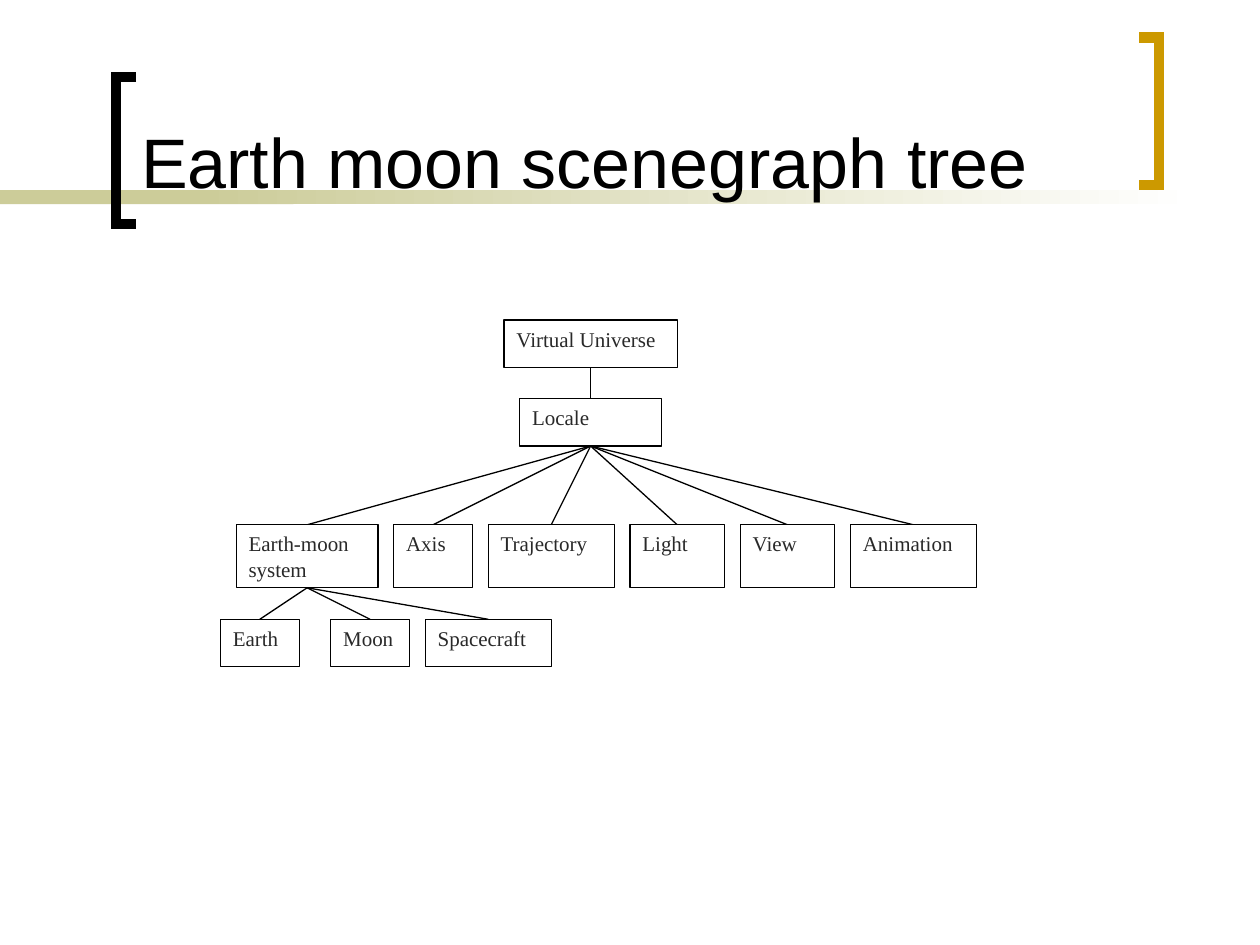
from dataclasses import dataclass

import pptx
import pptx.dml.color
import pptx.enum.shapes
import pptx.enum.text
import pptx.oxml
import pptx.oxml.ns
import pptx.util
from pptx.util import Inches

GRID = 1 / 8
TREE_TOP = 2.54
BLACK = "000000"
WHITE = "FFFFFF"
KHAKI = "CCCC99"
GOLD = "CC9900"
CHARCOAL = "292929"


@dataclass(frozen=True)
class Node:
    label: str
    column: int
    row: int
    columns: int
    rows: int = 3
    children: tuple["Node", ...] = ()

    @property
    def left(self) -> float:
        return self.column * GRID

    @property
    def top(self) -> float:
        return TREE_TOP + self.row * GRID

    @property
    def width(self) -> float:
        return self.columns * GRID

    @property
    def height(self) -> float:
        return self.rows * GRID

    @property
    def center(self) -> float:
        return self.left + self.width / 2


@dataclass(frozen=True)
class Bracket:
    tip: float
    spine: float
    top: float
    color: str
    height: float = 1.17


def node_row(row: int, rows: int, column: int, gap: int,
             entries: list[tuple[str, int, tuple[Node, ...]]]) -> tuple[Node, ...]:
    nodes = []
    for label, columns, children in entries:
        nodes.append(Node(label, column, row, columns, rows, children))
        column += columns + gap
    return tuple(nodes)


BODIES = (
    Node("Earth", 14, 19, 5),
    Node("Moon", 21, 19, 5),
    Node("Spacecraft", 27, 19, 8),
)
BRANCHES = node_row(13, 4, 15, 1, [
    ("Earth-moon system", 9, BODIES),
    ("Axis", 5, ()),
    ("Trajectory", 8, ()),
    ("Light", 6, ()),
    ("View", 6, ()),
    ("Animation", 8, ()),
])
LOCALE = Node("Locale", 33, 5, 9, children=BRANCHES)
UNIVERSE = Node("Virtual Universe", 32, 0, 11, children=(LOCALE,))

BRACKETS = (
    Bracket(tip=1.08, spine=0.92, top=0.61, color=BLACK),
    Bracket(tip=9.04, spine=9.2, top=0.3, color=GOLD),
)


def rgb(value: str) -> pptx.dml.color.RGBColor:
    return pptx.dml.color.RGBColor.from_string(value)


def add_band(slide, left: float, width: float, fades: bool = False) -> None:
    band = slide.shapes.add_shape(
        pptx.enum.shapes.MSO_SHAPE.RECTANGLE,
        Inches(left), Inches(1.51), Inches(width), Inches(0.11))
    band.shadow.inherit = False
    band.line.fill.background()
    if fades:
        band.fill.gradient()
        band.fill.gradient_angle = 0
        for stop, color, position in zip(band.fill.gradient_stops, (KHAKI, WHITE), (0, 1)):
            stop.color.rgb = rgb(color)
            stop.position = position
    else:
        band.fill.solid()
        band.fill.fore_color.rgb = rgb(KHAKI)


def add_bracket(slide, bracket: Bracket) -> None:
    bottom = bracket.top + bracket.height
    builder = slide.shapes.build_freeform(Inches(bracket.tip), Inches(bracket.top))
    builder.add_line_segments([
        (Inches(bracket.spine), Inches(bracket.top)),
        (Inches(bracket.spine), Inches(bottom)),
        (Inches(bracket.tip), Inches(bottom)),
    ], close=False)
    outline = builder.convert_to_shape()
    outline.shadow.inherit = False
    outline.fill.background()
    outline.line.color.rgb = rgb(bracket.color)
    outline.line.width = pptx.util.Pt(6)
    miter = pptx.oxml.parse_xml(f'<a:miter {pptx.oxml.ns.nsdecls("a")} lim="800000"/>')
    outline.line._get_or_add_ln().append(miter)


def add_title(slide, text: str) -> None:
    title = slide.shapes.title
    title.element.getparent().append(title.element)
    title.left, title.top = Inches(1.02), Inches(0.11)
    title.width, title.height = Inches(7.83), Inches(1.55)
    frame = title.text_frame
    frame.text = text
    frame.word_wrap = True
    frame.auto_size = pptx.enum.text.MSO_AUTO_SIZE.NONE
    frame.vertical_anchor = pptx.enum.text.MSO_ANCHOR.BOTTOM
    paragraph = frame.paragraphs[0]
    paragraph.alignment = pptx.enum.text.PP_ALIGN.LEFT
    paragraph.font.name = "Arial"
    paragraph.font.size = pptx.util.Pt(40)
    paragraph.font.color.rgb = rgb(BLACK)


def add_edge(slide, parent: Node, child: Node) -> None:
    edge = slide.shapes.add_connector(
        pptx.enum.shapes.MSO_CONNECTOR.STRAIGHT,
        Inches(parent.center), Inches(parent.top + parent.height),
        Inches(child.center), Inches(child.top))
    edge.line.color.rgb = rgb(BLACK)
    edge.line.width = pptx.util.Pt(0.75)
    effects = pptx.oxml.parse_xml(f'<a:effectLst {pptx.oxml.ns.nsdecls("a")}/>')
    edge.element.spPr.append(effects)


def add_tree(slide, node: Node) -> None:
    box = slide.shapes.add_shape(
        pptx.enum.shapes.MSO_SHAPE.FLOWCHART_PROCESS,
        Inches(node.left), Inches(node.top), Inches(node.width), Inches(node.height))
    box.shadow.inherit = False
    box.fill.solid()
    box.fill.fore_color.rgb = rgb(WHITE)
    box.line.color.rgb = rgb(BLACK)
    box.line.width = pptx.util.Pt(0.75)
    frame = box.text_frame
    frame.text = node.label
    frame.word_wrap = True
    frame.vertical_anchor = pptx.enum.text.MSO_ANCHOR.TOP
    paragraph = frame.paragraphs[0]
    paragraph.alignment = pptx.enum.text.PP_ALIGN.LEFT
    paragraph.font.name = "Times New Roman"
    paragraph.font.size = pptx.util.Pt(12)
    paragraph.font.color.rgb = rgb(CHARCOAL)
    for child in node.children:
        add_edge(slide, node, child)
        add_tree(slide, child)


def main() -> None:
    presentation = pptx.Presentation()
    presentation.slide_width, presentation.slide_height = Inches(10), Inches(7.5)
    slide = presentation.slides.add_slide(presentation.slide_layouts.get_by_name("Title Only"))
    add_band(slide, left=0, width=2.33)
    add_band(slide, left=1.58, width=7.92, fades=True)
    for bracket in BRACKETS:
        add_bracket(slide, bracket)
    add_title(slide, "Earth moon scenegraph tree")
    add_tree(slide, UNIVERSE)
    presentation.save("out.pptx")


if __name__ == "__main__":
    main()
